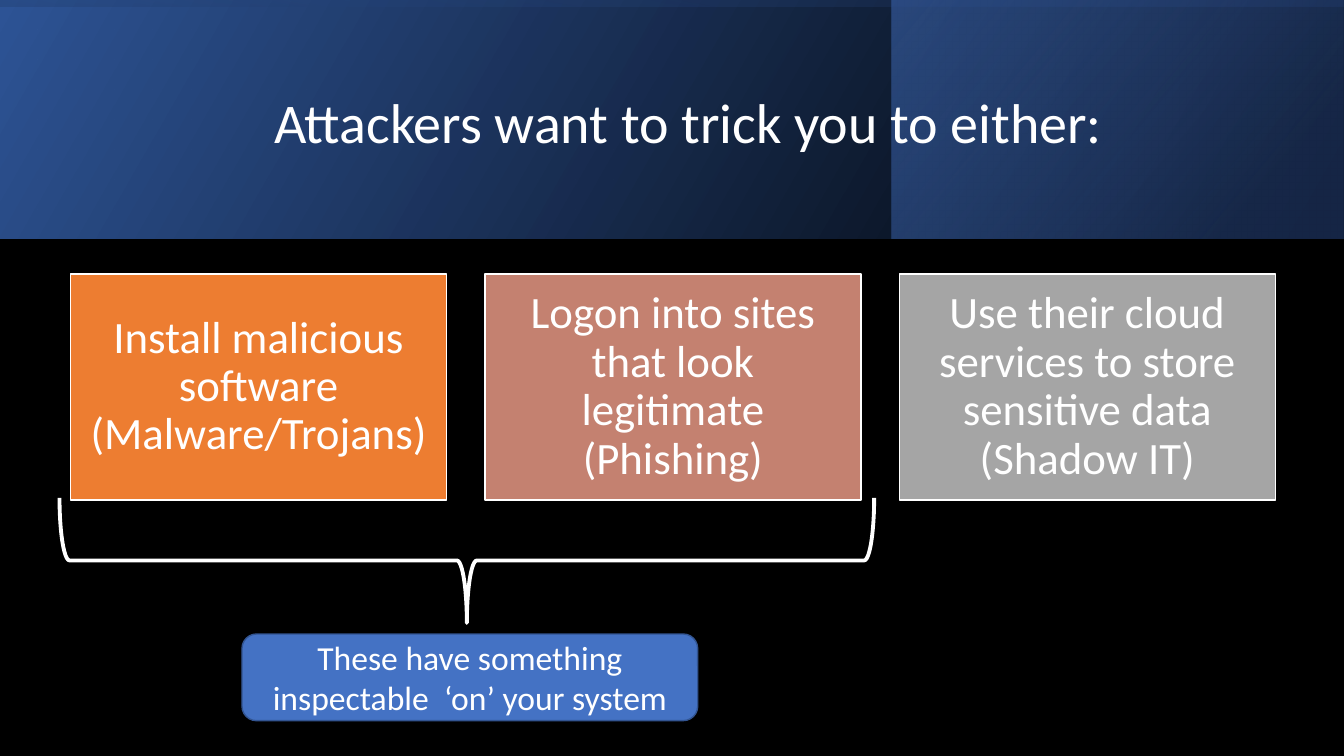
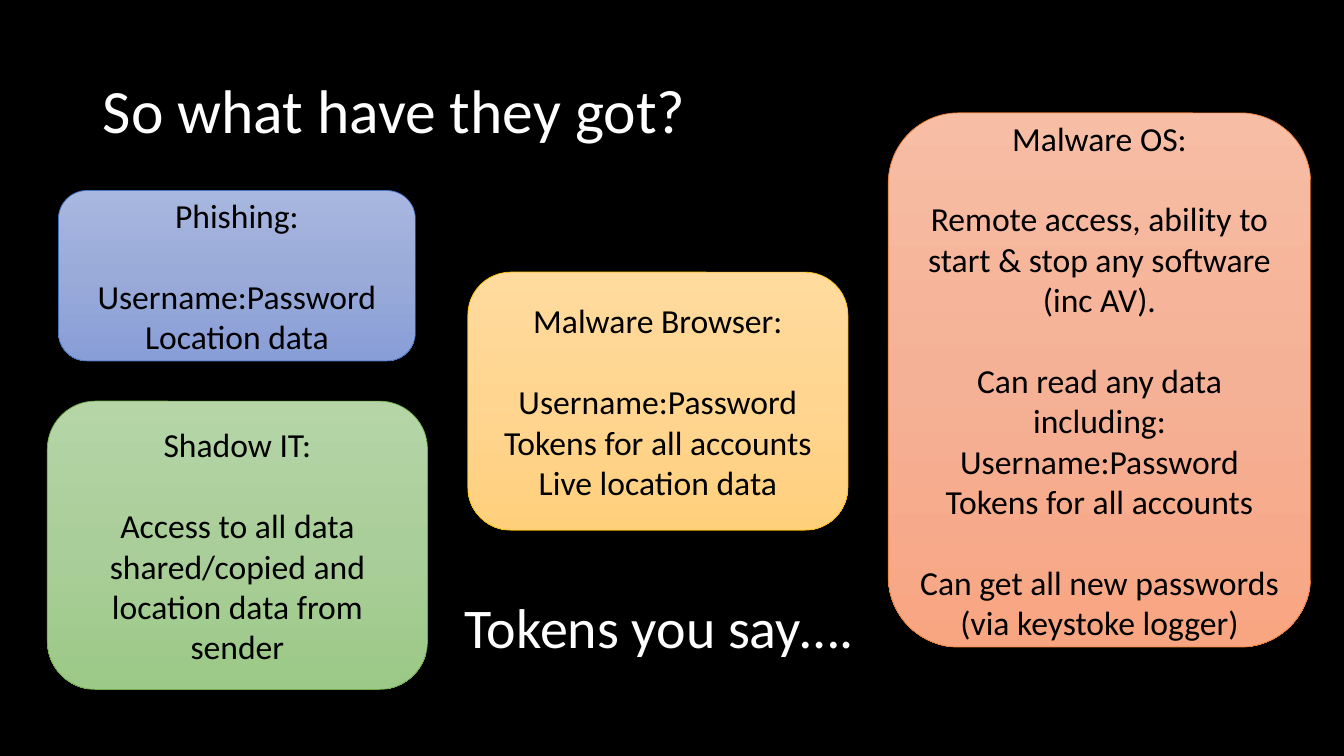
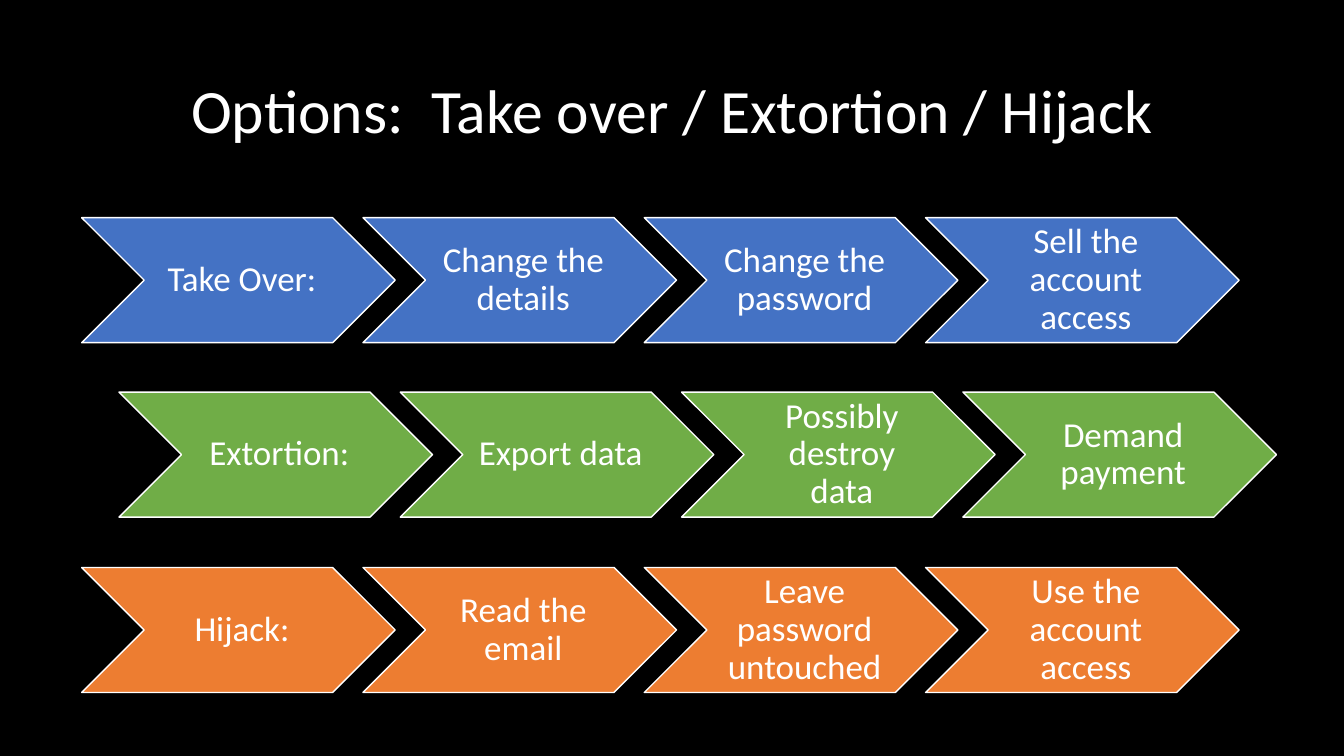
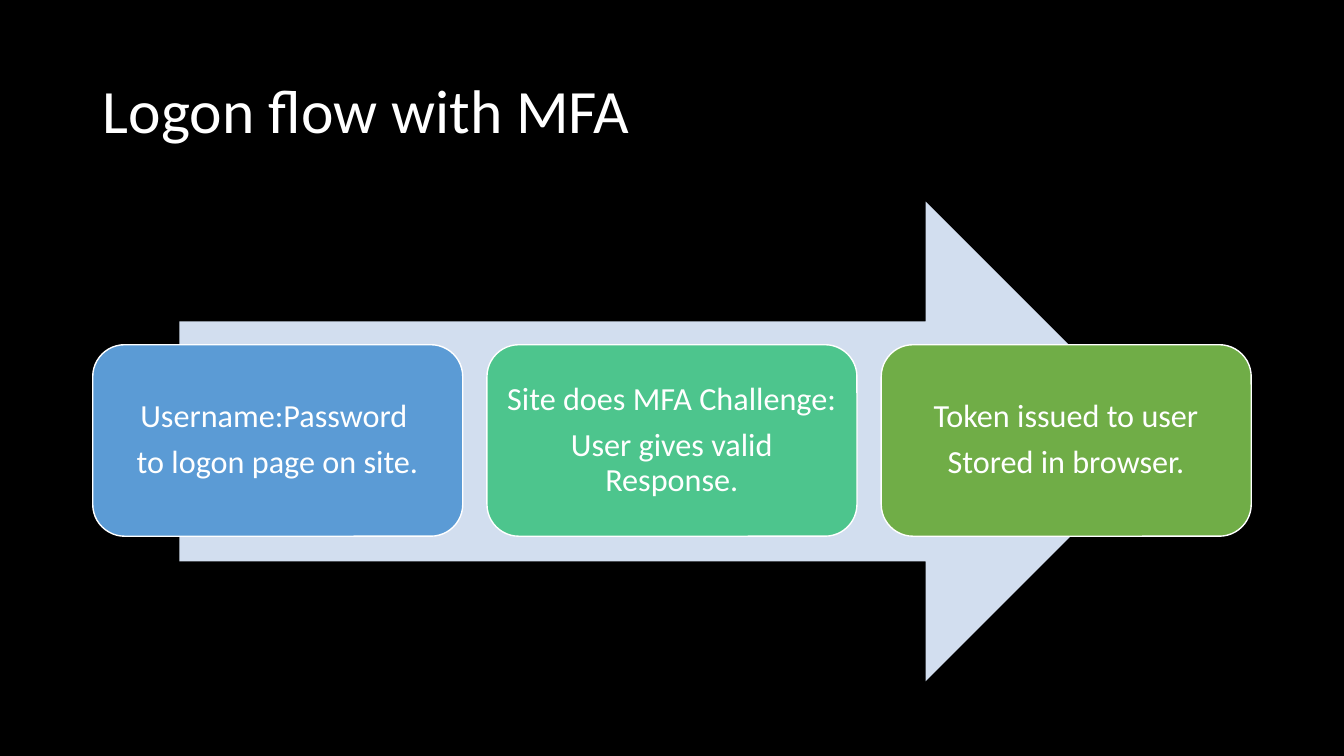
from lxml import etree
from pptx import Presentation
from pptx.dml.color import RGBColor
from pptx.enum.shapes import MSO_SHAPE
from pptx.enum.text import MSO_ANCHOR, MSO_AUTO_SIZE, PP_ALIGN
from pptx.oxml.ns import qn
from pptx.util import Inches, Pt

LEFT, CENTER = PP_ALIGN.LEFT, PP_ALIGN.CENTER
MIDDLE = MSO_ANCHOR.MIDDLE
NO_AUTOFIT = MSO_AUTO_SIZE.NONE
RECTANGLE, ROUNDED = MSO_SHAPE.RECTANGLE, MSO_SHAPE.ROUNDED_RECTANGLE
CHEVRON, ARROW, BRACE = MSO_SHAPE.CHEVRON, MSO_SHAPE.RIGHT_ARROW, MSO_SHAPE.RIGHT_BRACE

FONT = "Calibri"
BLACK = RGBColor(0x00, 0x00, 0x00)
WHITE = RGBColor(0xFF, 0xFF, 0xFF)
BLUE = RGBColor(0x44, 0x72, 0xC4)
BLUE_EDGE = RGBColor(0x32, 0x54, 0x91)
BLUE_DARK = RGBColor(0x2F, 0x55, 0x97)
NAVY = RGBColor(0x20, 0x38, 0x64)
SKY = RGBColor(0x5B, 0x9B, 0xD5)
PALE_BLUE = RGBColor(0xD2, 0xDE, 0xEF)
ORANGE = RGBColor(0xED, 0x7D, 0x31)
ROSE = RGBColor(0xC4, 0x81, 0x70)
GRAY = RGBColor(0xA5, 0xA5, 0xA5)
GREEN = RGBColor(0x70, 0xAD, 0x47)
MINT = RGBColor(0x4D, 0xC5, 0x8D)
GOLD = RGBColor(0xFF, 0xC0, 0x00)
BLUE_TINTS = [RGBColor(0xA8, 0xB7, 0xDF), RGBColor(0x9A, 0xAB, 0xD9), RGBColor(0x88, 0x9E, 0xD7)]
ORANGE_TINTS = [RGBColor(0xF7, 0xBD, 0xA5), RGBColor(0xF5, 0xB1, 0x96), RGBColor(0xF8, 0xA5, 0x82)]
GREEN_TINTS = [RGBColor(0xB5, 0xD5, 0xA7), RGBColor(0xAA, 0xCE, 0x9A), RGBColor(0x9C, 0xC9, 0x87)]
GOLD_TINTS = [RGBColor(0xFF, 0xDB, 0x9E), RGBColor(0xFF, 0xD5, 0x90), RGBColor(0xFF, 0xD0, 0x7C)]

# Slide 1: header bands (place, rotation, angle, stops of position, colour, opacity)
TRICK_TITLE = "Attackers want to trick you to either:"
BANDS = [
    ((0, 0, 13.33, 2.37), 0, 330, [(0, BLACK, 96), (100, BLUE_DARK, 100)]),
    ((8.84, 0, 4.48, 2.37), 0, 320, [(19, NAVY, 68), (100, BLUE, 48)]),
    ((5.48, -5.48, 2.37, 13.33), 270, 350, [(23, BLUE_DARK, 16), (99, BLACK, 45)]),
]
TRICKS = [
    ("Install malicious software (Malware/Trojans)", ORANGE),
    ("Logon into sites that look legitimate (Phishing)", ROSE),
    ("Use their cloud services to store sensitive data (Shadow IT)", GRAY),
]
BRACE_NOTE = "These have something inspectable  ‘on’ your system"

# Slide 2: each card holds groups of lines, with a gap between the groups
LOOT_TITLE = "So what have they got?"
LOOT = [
    ((0.58, 1.89, 3.54, 1.69), BLUE_TINTS, BLUE,
     [["Phishing:"], ["Username:Password", "Location data"]]),
    ((8.81, 1.12, 4.19, 5.3), ORANGE_TINTS, ORANGE,
     [["Malware OS:"],
      ["Remote access, ability to start & stop any software (inc AV)."],
      ["Can read any data including:", "Username:Password", "Tokens for all accounts"],
      ["Can get all new passwords (via keystoke logger)"]]),
    ((0.47, 3.98, 3.77, 2.86), GREEN_TINTS, GREEN,
     [["Shadow IT:"], ["Access to all data shared/copied and location data from sender"]]),
    ((4.64, 2.7, 3.77, 2.56), GOLD_TINTS, GOLD,
     [["Malware Browser:"],
      ["Username:Password", "Tokens for all accounts", "Live location data"]]),
]
TOKENS = "Tokens you say…."

# Slide 3: rows of left, top, colour, steps
OPTIONS_TITLE = "Options:  Take over / Extortion / Hijack"
OPTIONS = [
    (0.81, 2.16, BLUE,
     ["Take Over:", "Change the details", "Change the password", "Sell the account access"]),
    (1.18, 3.89, GREEN,
     ["Extortion:", "Export data", "Possibly destroy data", "Demand payment"]),
    (0.81, 5.63, ORANGE,
     ["Hijack:", "Read the email", "Leave password untouched", "Use the account access"]),
]

# Slide 4
LOGON_TITLE = "Logon flow with MFA"
LOGON = [
    (["Username:Password ", "to logon page on site."], SKY),
    (["Site does MFA Challenge:", "User gives valid Response."], MINT),
    (["Token issued to user", "Stored in browser."], GREEN),
]


def add_span(para, text, size, color):
    span = para.add_run()
    span.text = text
    span.font.name, span.font.size = FONT, Pt(size)
    span.font.color.rgb = color


def write(box, lines, size, color=WHITE, align=CENTER, spacing=None, gaps=None, insets=None):
    """Fill a box with one paragraph per line; gaps are points before each line."""
    frame = box.text_frame
    frame.word_wrap = True
    frame.vertical_anchor = MIDDLE
    if insets:
        (frame.margin_left, frame.margin_top,
         frame.margin_right, frame.margin_bottom) = map(Inches, insets)
    for index, line in enumerate(lines):
        para = frame.paragraphs[0] if index == 0 else frame.add_paragraph()
        para.alignment = align
        if spacing:
            para.line_spacing = spacing
        if gaps and gaps[index]:
            para.space_before = Pt(gaps[index])
        add_span(para, line, size, color)


def add_box(page, kind, place, fill=None, line=None, width=1):
    box = page.shapes.add_shape(kind, *map(Inches, place))
    box.shadow.inherit = False
    if fill is None:
        box.fill.background()
    else:
        box.fill.solid()
        box.fill.fore_color.rgb = fill
    if line is None:
        box.line.fill.background()
    else:
        box.line.color.rgb = line
        box.line.width = Pt(width)
    return box


def set_gradient(box, stops, angle):
    box.fill.gradient()
    gradient = box._element.spPr.find(qn("a:gradFill"))
    stop_list = gradient.find(qn("a:gsLst"))
    for stop in list(stop_list):
        stop_list.remove(stop)
    for position, color, opacity in stops:
        stop = etree.SubElement(stop_list, qn("a:gs"), pos=str(position * 1000))
        tone = etree.SubElement(stop, qn("a:srgbClr"), val=str(color))
        if opacity < 100:
            etree.SubElement(tone, qn("a:alpha"), val=str(opacity * 1000))
    gradient.find(qn("a:lin")).set("ang", str(angle * 60000))


def set_place(shape, place):
    shape.left, shape.top, shape.width, shape.height = map(Inches, place)


def start_deck():
    deck = Presentation()
    deck.slide_width, deck.slide_height = Inches(13.33), Inches(7.5)
    background = deck.slide_master.background.fill
    background.solid()
    background.fore_color.rgb = BLACK
    set_place(deck.slide_layouts[5].placeholders[0], (0.92, 0.4, 11.5, 1.45))
    return deck


def add_page(deck, title, size=44, align=LEFT):
    page = deck.slides.add_slide(deck.slide_layouts[5])
    write(page.shapes.title, [title], size, align=align, spacing=0.9)
    page.shapes.title.text_frame.auto_size = NO_AUTOFIT
    return page


def build_tricks(deck):
    page = add_page(deck, TRICK_TITLE, 40, CENTER)
    title = page.shapes.title
    set_place(title, (1.51, 0.38, 10.63, 1.72))
    for place, rotation, angle, stops in BANDS:
        band = add_box(page, RECTANGLE, place)
        set_gradient(band, stops, angle)
        band.rotation = rotation
        band._element.spPr.find(qn("a:xfrm")).set("flipH", "1")
    # Bring the title in front of the bands
    page.shapes._spTree.append(title._element)

    for index, (text, color) in enumerate(TRICKS):
        card = add_box(page, RECTANGLE, (0.7 + index * 4.11, 2.72, 3.73, 2.24), color, WHITE)
        write(card, [text], 32, spacing=0.9, insets=[0.13] * 4)

    brace = add_box(page, BRACE, (4.01, 1.52, 1.24, 8.08), line=WHITE, width=2.75)
    brace.rotation = 90
    brace.adjustments[0], brace.adjustments[1] = 0.08, 0.5
    note = add_box(page, ROUNDED, (2.4, 6.29, 4.52, 0.86), BLUE, BLUE_EDGE)
    write(note, [BRACE_NOTE], 24)


def build_loot(deck):
    page = add_page(deck, LOOT_TITLE)
    for place, tints, edge, groups in LOOT:
        card = add_box(page, ROUNDED, place, line=edge, width=0.5)
        set_gradient(card, [(index * 50, tint, 100) for index, tint in enumerate(tints)], 90)
        lines = [line for group in groups for line in group]
        gaps = [29 if number and not index else 0
                for number, group in enumerate(groups) for index in range(len(group))]
        write(card, lines, 24, BLACK, gaps=gaps)
    tokens = page.shapes.add_textbox(*map(Inches, (4.51, 5.83, 4.1, 0.77)))
    write(tokens, [TOKENS], 40, align=LEFT)
    tokens.text_frame.word_wrap = False


def build_options(deck):
    page = add_page(deck, OPTIONS_TITLE, align=CENTER)
    for left, top, color, steps in OPTIONS:
        for index, step in enumerate(steps):
            place = (left + index * 2.79, top, 3.11, 1.24)
            chevron = add_box(page, CHEVRON, place, color, WHITE)
            write(chevron, [step], 25, spacing=0.9, insets=[0.11, 0.04, 0.04, 0.04])


def build_logon(deck):
    page = add_page(deck, LOGON_TITLE)
    add_box(page, ARROW, (1.78, 2, 9.78, 4.76), PALE_BLUE)
    for index, (lines, color) in enumerate(LOGON):
        card = add_box(page, ROUNDED, (0.92 + index * 3.91, 3.42, 3.67, 1.9), color, WHITE)
        write(card, lines, 23, spacing=0.9, gaps=[0, 8], insets=[0.1] * 4)


def main():
    deck = start_deck()
    for build in (build_tricks, build_loot, build_options, build_logon):
        build(deck)
    deck.save("out.pptx")


if __name__ == "__main__":
    main()
